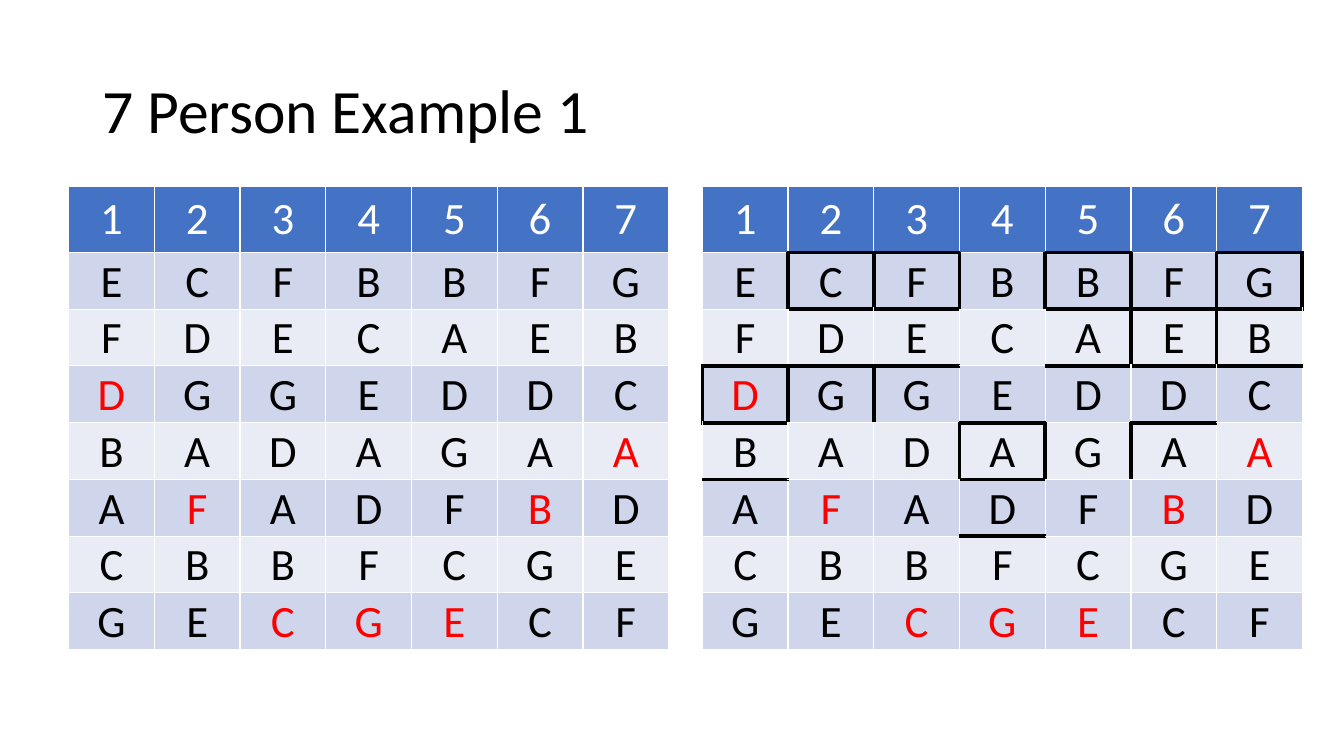
from dataclasses import dataclass

from lxml.etree import SubElement
from pptx import Presentation
from pptx.dml.color import RGBColor
from pptx.enum.text import MSO_ANCHOR, PP_ALIGN
from pptx.oxml.ns import qn
from pptx.util import Cm, Pt


@dataclass(frozen=True)
class Theme:
    """Fonts, type sizes and colours of the slide."""

    font: str = "Calibri"
    title_size: int = 44
    cell_size: int = 32
    ink: str = "000000"
    header_ink: str = "FFFFFF"
    match_ink: str = "FF0000"
    header_fill: str = "4472C4"
    bands: tuple = ("E9EBF5", "CFD5EA")
    box_line: str = "000000"
    box_width: int = 3


THEME = Theme()
PREFERENCES = ["1234567", "ECFBBFG", "FDECAEB", "DGGEDDC", "BADAGAA",
               "AFADFBD", "CBBFCGE", "GECGECF"]
MATCHES = {(3, 0), (4, 6), (5, 1), (5, 5), (7, 2), (7, 3), (7, 4)}
BOXED = {(1, 1), (1, 2), (1, 4), (1, 6), (2, 5), (3, 0), (4, 3)}
SIDES = {"a:lnL": (0, -1), "a:lnR": (0, 1), "a:lnT": (-1, 0), "a:lnB": (1, 0)}


def write(frame, text, size, color, align=PP_ALIGN.LEFT, line_spacing=None):
    """Put one formatted paragraph into a text frame."""
    paragraph = frame.paragraphs[0]
    paragraph.alignment = align
    paragraph.line_spacing = line_spacing
    run = paragraph.add_run()
    run.text = text
    run.font.name = THEME.font
    run.font.size = Pt(size)
    run.font.bold = False
    run.font.color.rgb = RGBColor.from_string(color)


def add_title(slide, text):
    """Add the slide heading."""
    heading = slide.shapes.add_textbox(Cm(2.33), Cm(1.01), Cm(29.21), Cm(3.68))
    heading.text_frame.word_wrap = True
    heading.text_frame.vertical_anchor = MSO_ANCHOR.MIDDLE
    write(heading.text_frame, text, THEME.title_size, THEME.ink, line_spacing=0.9)


def add_border(cell, side):
    """Draw one heavy side of a cell."""
    line = SubElement(cell._tc.get_or_add_tcPr(), qn(side),
                      w=str(Pt(THEME.box_width)), cap="flat", cmpd="sng", algn="ctr")
    SubElement(SubElement(line, qn("a:solidFill")), qn("a:srgbClr"), val=THEME.box_line)
    SubElement(line, qn("a:prstDash"), val="solid")


def format_cell(cell, text, position, boxed):
    """Fill one cell and draw the sides it shares with boxed cells."""
    row, column = position
    for side, (down, across) in SIDES.items():
        if position in boxed or (row + down, column + across) in boxed:
            add_border(cell, side)
    cell.fill.solid()
    if row == 0:
        fill, ink = THEME.header_fill, THEME.header_ink
    else:
        fill = THEME.bands[row % 2]
        ink = THEME.match_ink if position in MATCHES else THEME.ink
        cell.margin_left = cell.margin_right = cell.margin_top = Cm(0.02)
        cell.margin_bottom = Cm(0)
        cell.vertical_anchor = MSO_ANCHOR.BOTTOM
    cell.fill.fore_color.rgb = RGBColor.from_string(fill)
    write(cell.text_frame, text, THEME.cell_size, ink, align=PP_ALIGN.CENTER)


def add_preferences(slide, left, boxed=frozenset()):
    """Add a preference table with some cells boxed."""
    table = slide.shapes.add_table(len(PREFERENCES), len(PREFERENCES[0]), Cm(left),
                                   Cm(4.7), Cm(15.12), Cm(11.67)).table
    for person in table.columns:
        person.width = Cm(2.16)
    for row, choices in enumerate(PREFERENCES):
        table.rows[row].height = Cm(1.43 if row else 1.66)
        for column, choice in enumerate(choices):
            format_cell(table.cell(row, column), choice, (row, column), boxed)


def main():
    """Build and save the slide."""
    deck = Presentation()
    deck.slide_width, deck.slide_height = Cm(33.87), Cm(19.05)
    slide = deck.slides.add_slide(deck.slide_layouts[6])
    add_title(slide, "7 Person Example 1")
    add_preferences(slide, 1.73)
    add_preferences(slide, 17.7, BOXED)
    deck.save("out.pptx")


if __name__ == "__main__":
    main()
